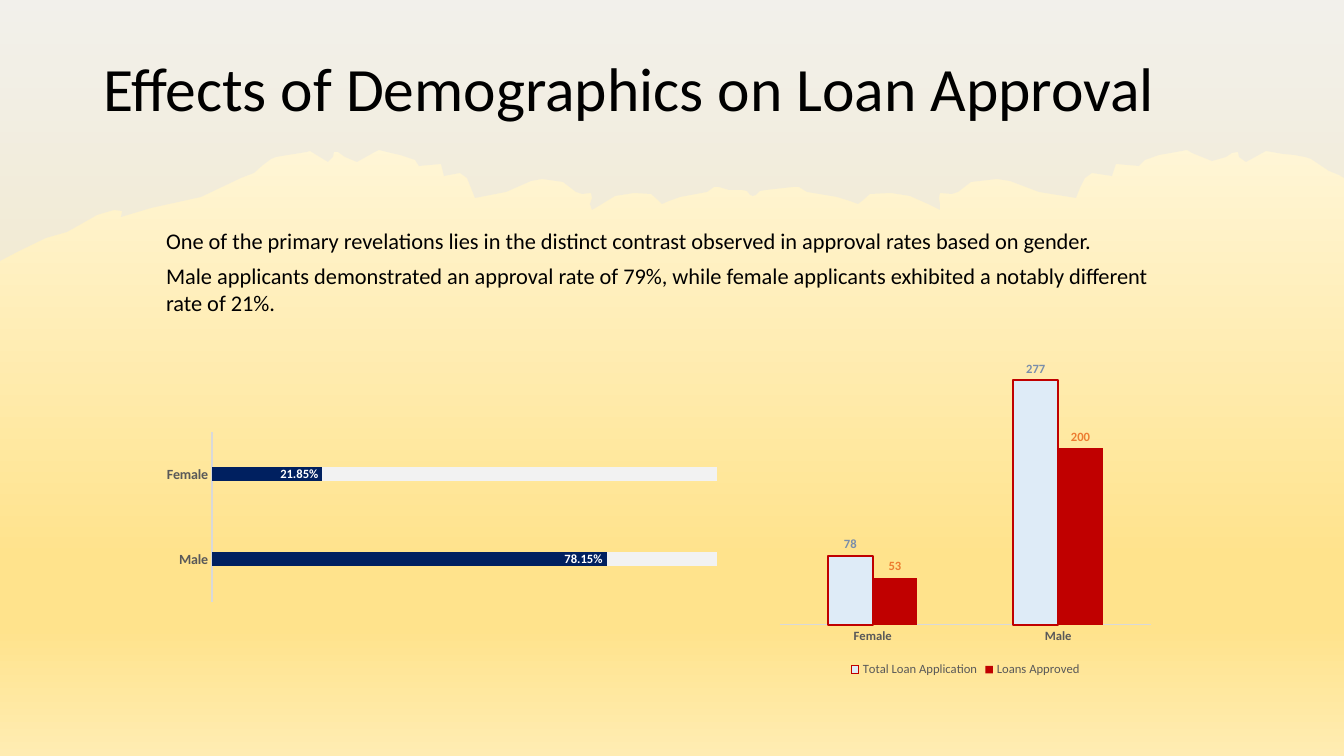
from copy import deepcopy

from lxml import etree
from pptx import Presentation
from pptx.chart.data import CategoryChartData
from pptx.dml.color import RGBColor
from pptx.enum.chart import XL_CHART_TYPE, XL_LABEL_POSITION, XL_LEGEND_POSITION, XL_TICK_MARK
from pptx.enum.text import MSO_ANCHOR, MSO_AUTO_SIZE, PP_ALIGN
from pptx.oxml.ns import qn
from pptx.util import Pt

BAR, COLUMN = XL_CHART_TYPE.BAR_CLUSTERED, XL_CHART_TYPE.COLUMN_CLUSTERED
INSIDE_END, OUTSIDE_END = XL_LABEL_POSITION.INSIDE_END, XL_LABEL_POSITION.OUTSIDE_END
LEGEND_BOTTOM, NO_TICKS = XL_LEGEND_POSITION.BOTTOM, XL_TICK_MARK.NONE
LEFT, MIDDLE, TOP = PP_ALIGN.LEFT, MSO_ANCHOR.MIDDLE, MSO_ANCHOR.TOP
NO_AUTOFIT = MSO_AUTO_SIZE.NONE

FONT = "Calibri"
EMU_PER_PX = 12192000 / 1344
BLACK = RGBColor(0x00, 0x00, 0x00)
WHITE = RGBColor(0xFF, 0xFF, 0xFF)
GREY_TEXT = RGBColor(0x59, 0x59, 0x59)
AXIS_GREY = RGBColor(0xD9, 0xD9, 0xD9)
SKY_GREY = RGBColor(0xE7, 0xE6, 0xE6)
TRACK_GREY = RGBColor(0xF2, 0xF2, 0xF2)
NAVY = RGBColor(0x00, 0x20, 0x60)
PALE_BLUE = RGBColor(0xDE, 0xEB, 0xF7)
SLATE = RGBColor(0x7A, 0x8E, 0xAA)
RED = RGBColor(0xC0, 0x00, 0x00)
ORANGE = RGBColor(0xED, 0x7D, 0x31)
CREAM = RGBColor(0xFF, 0xFC, 0xF2)
SAND = RGBColor(0xFF, 0xE3, 0x8C)
PALE_SAND = RGBColor(0xFF, 0xEC, 0xB2)
BACKGROUND_STOPS = [(0, CREAM), (0.74, SAND), (0.83, SAND), (1, PALE_SAND)]

# Lower edge of the sky, from left to right, in px
SKY_EDGE = [
    (0, 261), (19, 251), (46, 238), (67, 232), (83, 223), (97, 215), (114, 210), (122, 211),
    (121, 217), (151, 208), (201, 197), (241, 178), (254, 173), (263, 165), (271, 159),
    (276, 157), (288, 155), (307, 152), (310, 151), (328, 162), (333, 157), (334, 152),
    (338, 152), (345, 157), (357, 162), (373, 153), (379, 150), (391, 153), (400, 155),
    (415, 160), (419, 166), (441, 164), (444, 176), (460, 173), (467, 178), (471, 188),
    (475, 198), (506, 192), (531, 181), (542, 179), (563, 182), (576, 192), (582, 194),
    (591, 193), (592, 198), (590, 204), (592, 210), (602, 204), (615, 196), (634, 193),
    (651, 194), (659, 201), (662, 204), (669, 201), (680, 197), (691, 195), (707, 192),
    (714, 187), (719, 187), (729, 190), (742, 190), (747, 191), (750, 195), (753, 196),
    (756, 195), (760, 191), (766, 190), (793, 187), (799, 187), (807, 192), (825, 195),
    (837, 197), (850, 201), (858, 204), (862, 201), (870, 194), (891, 193), (910, 196),
    (928, 204), (940, 210), (940, 204), (939, 198), (940, 193), (952, 194), (958, 192),
    (971, 182), (997, 179), (1010, 181), (1039, 192), (1076, 198), (1080, 188), (1085, 178),
    (1092, 173), (1112, 176), (1116, 164), (1139, 166), (1145, 160), (1159, 155), (1171, 153),
    (1187, 150), (1192, 153), (1212, 161), (1226, 157), (1232, 153), (1238, 152), (1239, 157),
    (1246, 162), (1266, 151), (1283, 154), (1294, 155), (1305, 157), (1311, 159), (1320, 165),
    (1329, 171), (1339, 175), (1344, 178),
]


def px(*lengths):
    return [round(length * EMU_PER_PX) for length in lengths]


def add_gender_chart(kind, frame, plot, categories, series_values, maxima, gap, overlap):
    """Add a chart with inner plot box `plot` (px); its second series uses a hidden second axis."""
    data = CategoryChartData()
    data.categories = categories
    for name, values in series_values:
        data.add_series(name, values)
    chart = slide.shapes.add_chart(kind, *px(*frame), data).chart
    chart.has_title = False
    chart.has_legend = False
    chart.plots[0].vary_by_categories = False
    chart.plots[0].gap_width = gap
    chart.plots[0].overlap = overlap
    chart.value_axis.minimum_scale = 0
    chart.value_axis.maximum_scale = maxima[0]
    chart.value_axis.has_major_gridlines = False
    chart.value_axis.visible = False
    chart.category_axis.major_tick_mark = NO_TICKS
    chart.category_axis.format.line.color.rgb = AXIS_GREY
    chart.category_axis.format.line.width = Pt(0.75)

    plot_area = chart._chartSpace.chart.plotArea
    first_bars = plot_area.find(qn("c:barChart"))
    second_bars = deepcopy(first_bars)
    first_bars.remove(first_bars.findall(qn("c:ser"))[1])
    second_bars.remove(second_bars.find(qn("c:ser")))
    first_bars.addnext(second_bars)
    category_axis, value_axis = (deepcopy(plot_area.find(qn(tag))) for tag in ("c:catAx", "c:valAx"))
    plot_area.find(qn("c:valAx")).addnext(value_axis)
    value_axis.addnext(category_axis)
    for axis_id, element in zip(("5001", "5002"), second_bars.findall(qn("c:axId"))):
        element.set("val", axis_id)
    for axis, own, other in [(category_axis, "5001", "5002"), (value_axis, "5002", "5001")]:
        axis.find(qn("c:axId")).set("val", own)
        axis.find(qn("c:crossAx")).set("val", other)
        axis.find(qn("c:delete")).set("val", "1")
    value_axis.find(qn("c:crosses")).set("val", "max")
    value_axis.find(qn("c:scaling")).find(qn("c:max")).set("val", str(maxima[1]))

    for old_layout in plot_area.findall(qn("c:layout")):
        plot_area.remove(old_layout)
    layout = etree.Element(qn("c:layout"))
    plot_area.insert(0, layout)
    manual = etree.SubElement(layout, qn("c:manualLayout"))
    left, top, width, height = frame
    settings = [("layoutTarget", "inner"), ("xMode", "edge"), ("yMode", "edge"),
                ("x", (plot[0] - left) / width), ("y", (plot[1] - top) / height),
                ("w", plot[2] / width), ("h", plot[3] / height)]
    for tag, value in settings:
        etree.SubElement(manual, qn(f"c:{tag}")).set("val", str(value))
    return chart


presentation = Presentation()
presentation.slide_width, presentation.slide_height = px(1344, 756)
slide = presentation.slides.add_slide(presentation.slide_layouts[1])

# Background
background = slide.background.fill
background.gradient()
background.gradient_angle = 270
stop_list = slide._element.find(".//" + qn("a:gsLst"))
for stop_element in list(stop_list):
    stop_list.append(deepcopy(stop_element))
for stop, (position, color) in zip(background.gradient_stops, BACKGROUND_STOPS):
    stop.position = position
    stop.color.rgb = color

builder = slide.shapes.build_freeform(*SKY_EDGE[0], scale=EMU_PER_PX)
builder.add_line_segments(SKY_EDGE[1:] + [(1344, 0), (0, 0)], close=True)
sky = builder.convert_to_shape()
sky.shadow.inherit = False
sky.line.fill.background()
sky.fill.solid()
sky.fill.fore_color.rgb = SKY_GREY
sky_color = sky._element.spPr.find(".//" + qn("a:srgbClr"))
etree.SubElement(sky_color, qn("a:alpha")).set("val", "50000")
slide.shapes._spTree.insert(2, sky._element)

# Title and body
title, body = slide.placeholders
texts = [
    (title, (93, 40, 1159, 103), MIDDLE, 44, 0.9, 0, ["Effects of Demographics on Loan Approval"]),
    (body, (156, 222, 1032, 427), TOP, 16, 1.0, 6,
     ["One of the primary revelations lies in the distinct contrast observed in approval rates "
      "based on gender.",
      "Male applicants demonstrated an approval rate of 79%, while female applicants exhibited "
      "a notably different rate of 21%."]),
]
fonts = []
for shape, box, anchor, size, line_spacing, space_after, lines in texts:
    shape.left, shape.top, shape.width, shape.height = px(*box)
    shape.text_frame.text = "\n".join(lines)
    shape.text_frame.word_wrap = True
    shape.text_frame.auto_size = NO_AUTOFIT
    shape.text_frame.vertical_anchor = anchor
    for paragraph in shape.text_frame.paragraphs:
        properties = paragraph._p.get_or_add_pPr()
        properties.set("marL", "0")
        properties.set("indent", "0")
        etree.SubElement(properties, qn("a:buNone"))
        paragraph.alignment = LEFT
        paragraph.line_spacing = line_spacing
        paragraph.space_before = Pt(0)
        paragraph.space_after = Pt(space_after)
        fonts.append((paragraph.font, size, BLACK, False))

# Charts
rates = add_gender_chart(
    BAR, (156, 427, 574, 178), (212, 432, 505, 170), ["Male", "Female"],
    [("Series 1", (1, 1)), ("Series 2", (0.7815, 0.2185))], (1, 1), 500, 100)
counts = add_gender_chart(
    COLUMN, (773, 353, 385, 328), (780, 360, 371, 265), ["Female", "Male"],
    [("Total Loan Application", (78, 277)), ("Loans Approved", (53, 200))], (300, 350), 215, 0)
counts.has_legend = True
counts.legend.position = LEGEND_BOTTOM
counts.legend.include_in_layout = False
for chart, size in [(rates, 10), (counts, 9)]:
    fonts.append((chart.font, 10, BLACK, False))
    fonts.append((chart.category_axis.tick_labels.font, size, GREY_TEXT, True))
fonts.append((counts.legend.font, 9, GREY_TEXT, False))

track, rate, applications, approvals = [plot.series[0] for chart in (rates, counts) for plot in chart.plots]
applications.format.line.color.rgb = RED
applications.format.line.width = Pt(1.5)
for series, color in [(track, TRACK_GREY), (rate, NAVY), (applications, PALE_BLUE), (approvals, RED)]:
    series.format.fill.solid()
    series.format.fill.fore_color.rgb = color
for series, color, position, number_format in [(rate, WHITE, INSIDE_END, "0.00%"),
                                               (applications, SLATE, OUTSIDE_END, "General"),
                                               (approvals, ORANGE, OUTSIDE_END, "General")]:
    labels = series.data_labels
    labels.show_value = True
    labels.position = position
    labels.number_format = number_format
    labels.number_format_is_linked = False
    fonts.append((labels.font, 9, color, True))
for font, size, color, bold in fonts:
    font.name, font.size, font.bold = FONT, Pt(size), bold
    font.color.rgb = color

presentation.save("out.pptx")
